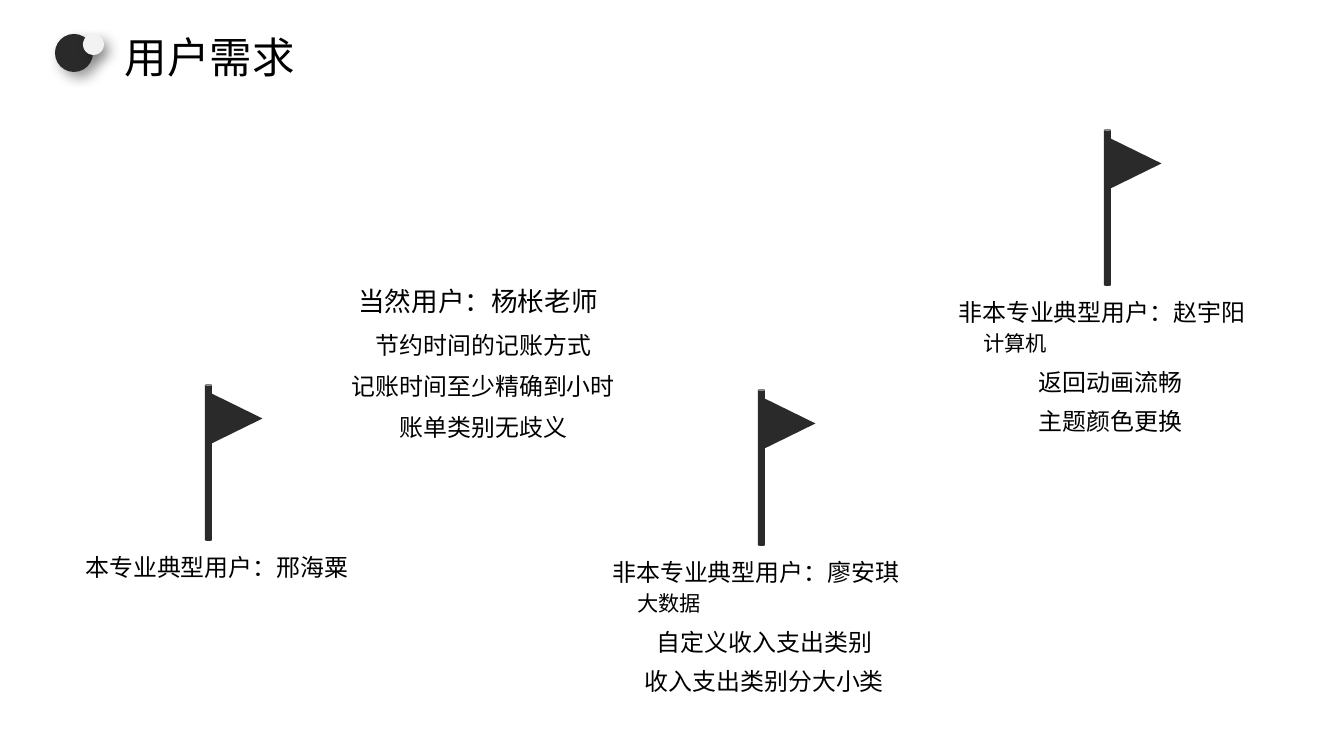
from dataclasses import dataclass

from lxml import etree
from pptx import Presentation
from pptx.dml.color import RGBColor
from pptx.enum.shapes import MSO_SHAPE
from pptx.enum.text import MSO_ANCHOR, MSO_AUTO_SIZE, PP_ALIGN
from pptx.oxml import parse_xml
from pptx.oxml.ns import nsdecls
from pptx.util import Pt

EMU_PER_PX = 9565


@dataclass(frozen=True)
class Theme:
    """Colours, fonts and type sizes of the slide."""
    dark: RGBColor = RGBColor(0x2A, 0x2A, 0x2A)
    light: RGBColor = RGBColor(0xF2, 0xF2, 0xF2)
    text: RGBColor = RGBColor(0, 0, 0)
    title_font: str = "Arial"
    body_font: str = "Calibri"
    title: int = 32
    lead: int = 20
    body: int = 18
    note: int = 16


THEME = Theme()


def px(n):
    """Turn px into EMU."""
    return round(n * EMU_PER_PX)


def add_run(p, text, font, size):
    """Add one formatted run to a paragraph."""
    r = p.add_run()
    r.text = text
    r.font.name = font
    r.font.size = Pt(size)
    r.font.color.rgb = THEME.text


def add_text(slide, box, text, size, wrap=True):
    """Add a left-aligned line of text that grows with its content."""
    tf = slide.shapes.add_textbox(*map(px, box)).text_frame
    tf.word_wrap = wrap
    tf.auto_size = MSO_AUTO_SIZE.SHAPE_TO_FIT_TEXT
    add_run(tf.paragraphs[0], text, THEME.body_font, size)


def add_solid(shapes, kind, box, color):
    """Add a filled shape without outline or shadow."""
    sp = shapes.add_shape(kind, *map(px, box))
    sp.shadow.inherit = False
    sp.fill.solid()
    sp.fill.fore_color.rgb = color
    sp.line.fill.background()
    return sp


def add_shadow(sp):
    """Give a shape a soft shadow to the lower right."""
    effects = sp.element.spPr.find("{*}effectLst")
    shadow = parse_xml(
        f'<a:outerShdw {nsdecls("a")} blurRad="{Pt(10)}" dist="{Pt(6)}" dir="2700000" '
        'algn="tl" rotWithShape="0"/>')
    color = etree.SubElement(shadow, shadow.tag.replace("outerShdw", "srgbClr"), val="000000")
    etree.SubElement(color, shadow.tag.replace("outerShdw", "alpha"), val="40000")
    effects.append(shadow)


def add_header(slide, left, top, text):
    """Place the two-dot badge and the title."""
    for dx, size, color in ((0, 38, THEME.dark), (28, 21, THEME.light)):
        add_shadow(add_solid(slide.shapes, MSO_SHAPE.OVAL,
                             (left + dx, top + 8, size, size), color))
    title = slide.shapes.title
    title.left, title.top = px(left + 60), px(top)
    title.width, title.height = px(320), px(38)
    tf = title.text_frame
    tf.auto_size = MSO_AUTO_SIZE.NONE
    tf.vertical_anchor = MSO_ANCHOR.TOP
    p = tf.paragraphs[0]
    p.alignment = PP_ALIGN.LEFT
    p.space_before, p.space_after = Pt(0), Pt(6)
    add_run(p, text, THEME.title_font, THEME.title)


def add_flag(slide, left, top):
    """Place a flag made of a pennant and a pole."""
    group = slide.shapes.add_group_shape()
    pennant = add_solid(group.shapes, MSO_SHAPE.ISOSCELES_TRIANGLE,
                        (left + 5, top + 8, 52, 53), THEME.dark)
    pennant.rotation = 90
    add_solid(group.shapes, MSO_SHAPE.CAN, (left, top, 7, 157), THEME.dark)


def add_wishes(slide, center, top, step, wishes):
    """Stack wishes centred on one axis, each box as wide as its text."""
    for i, wish in enumerate(wishes):
        width = 24 * len(wish) + 20
        add_text(slide, (center - width / 2, top + i * step, width, 38),
                 wish, THEME.body, wrap=False)


def add_lead_user(slide, left, top, width, label, wishes):
    """Place the main user with the wishes below."""
    add_text(slide, (left, top, width, 42), label, THEME.lead)
    add_wishes(slide, left + width / 2, top + 46, 41, wishes)


def add_typical_user(slide, left, top, width, pole, label, note="", wishes=()):
    """Place a flag, a user below it, and the user's field and wishes."""
    add_flag(slide, left + pole, top)
    label_top = top + 164
    add_text(slide, (left, label_top, width, 38), label, THEME.body)
    if note:
        add_text(slide, (left + 25, label_top + 33, 98, 35), note, THEME.note)
    add_wishes(slide, left + width / 2 + 8, label_top + 70, 39, wishes)


def main():
    """Build the user needs slide."""
    prs = Presentation()
    prs.slide_width, prs.slide_height = px(1344), px(756)
    slide = prs.slides.add_slide(prs.slide_layouts[5])
    add_header(slide, 55, 26, "用户需求")
    add_lead_user(slide, 349, 280, 271, "当然用户：杨枨老师",
                  ("节约时间的记账方式", "记账时间至少精确到小时", "账单类别无歧义"))
    add_typical_user(slide, 76, 384, 289, 129, "本专业典型用户：邢海粟")
    add_typical_user(slide, 603, 389, 309, 155, "非本专业典型用户：廖安琪", "大数据",
                     ("自定义收入支出类别", "收入支出类别分大小类"))
    add_typical_user(slide, 949, 129, 309, 155, "非本专业典型用户：赵宇阳", "计算机",
                     ("返回动画流畅", "主题颜色更换"))
    prs.save("out.pptx")


if __name__ == "__main__":
    main()
